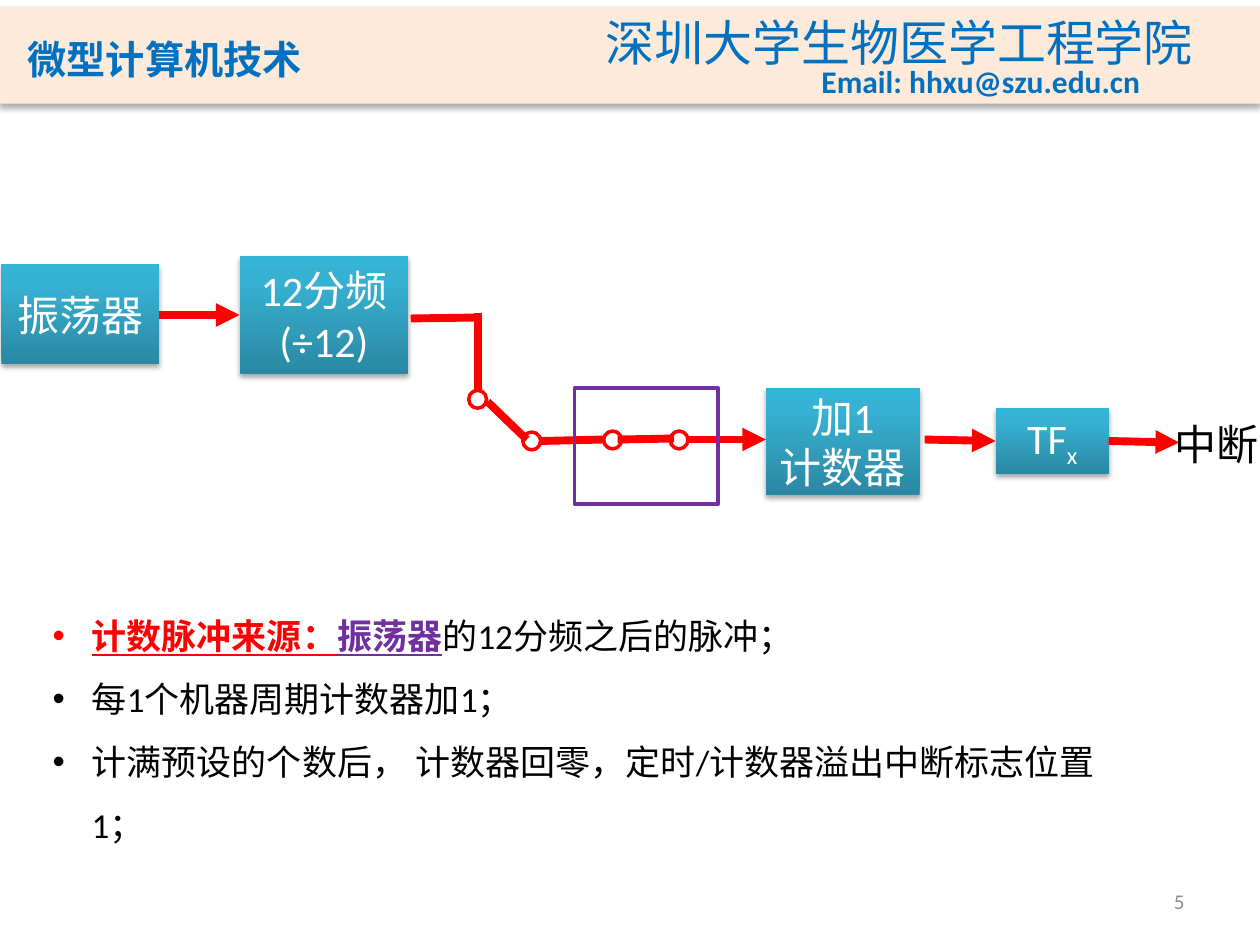
from lxml.etree import SubElement
from pptx import Presentation
from pptx.dml.color import RGBColor
from pptx.enum.shapes import MSO_CONNECTOR, MSO_SHAPE
from pptx.enum.text import MSO_ANCHOR as ANCHOR, MSO_AUTO_SIZE as AUTOSIZE, PP_ALIGN as ALIGN
from pptx.oxml.ns import qn
from pptx.util import Cm, Pt

COLORS = {
    "band": "FDEADA", "header": "0070C0", "signal": "FF0000", "frame": "7030A0",
    "white": "FFFFFF", "text": "000000", "number": "8C8C8C", "shadow": "000000",
}
BLOCK_STOPS = [(0, "2A88A2"), (80, "37B1D2"), (100, "34B4D6")]
CJK_FONT = "Noto Sans CJK SC"
CIRCLE = 0.36

BLOCKS = [
    ((0.03, 5.33, 3.18, 2.01), [[("振荡器", {})]]),
    ((4.83, 5.16, 3.4, 2.39), [[("12分频(÷12)", {})]]),
    ((15.44, 7.82, 3.1, 2.16), [[("加1", {})], [("计数器", {})]]),
    ((20.07, 8.23, 2.29, 1.32), [[("TF", {}), ("x", {"baseline": -25000})]]),
]
ARROWS = [
    (3.2, 6.35, 4.83, 6.35), (13.84, 8.86, 15.44, 8.86),
    (18.64, 8.86, 20.07, 8.89), (22.35, 8.89, 23.77, 8.92),
]
WIRES = [
    (8.28, 6.42, 9.65, 6.4), (9.63, 6.3, 9.63, 7.87), (9.83, 8.1, 10.62, 8.86),
    (10.9, 8.89, 12.17, 8.86), (13.59, 8.84, 12.45, 8.86),
]
CONTACTS = [(9.45, 7.87), (10.54, 8.71), (12.17, 8.69), (13.51, 8.69)]
NOTES = [
    [("计数脉冲来源：", {"color": "signal", "bold": True, "underline": True}),
     ("振荡器", {"color": "frame", "bold": True, "underline": True}),
     ("的12分频之后的脉冲；", {})],
    [("每1个机器周期计数器加1；", {})],
    [("计满预设的个数后， 计数器回零，定时/计数器溢出中断标志位置1；", {})],
]


def rgb(name):
    return RGBColor.from_string(COLORS[name])


def cm(values):
    return [Cm(value) for value in values]


def add_span(para, text, size, color="text", name="Calibri", cjk=CJK_FONT, baseline=None, **style):
    span = para.add_run()
    span.text = text
    for key, value in {"size": Pt(size), "name": name, **style}.items():
        setattr(span.font, key, value)
    span.font.color.rgb = rgb(color)
    props = span.font._element
    SubElement(props, qn("a:ea"), typeface=cjk)
    if baseline:
        props.set("baseline", str(baseline))
    return span


def write(frame, paragraphs, align=ALIGN.LEFT, **style):
    """Fill a text frame with paragraphs, each a list of (text, style) spans."""
    for index, spans in enumerate(paragraphs):
        para = frame.add_paragraph() if index else frame.paragraphs[0]
        para.alignment = align
        for text, extra in spans:
            add_span(para, text, **{**style, **extra})


def add_label(page, box, text, wrap=False, anchor=ANCHOR.TOP, **style):
    frame = page.shapes.add_textbox(*cm(box)).text_frame
    frame.word_wrap = wrap
    frame.vertical_anchor = anchor
    write(frame, [[(text, {})]], **style)


def add_figure(page, kind, box, line=None):
    """Add an unfilled preset shape, outlined if a line colour is named."""
    shape = page.shapes.add_shape(kind, *cm(box))
    shape.shadow.inherit = False
    shape.fill.background()
    if line:
        shape.line.color.rgb = rgb(line)
        shape.line.width = Pt(2)
    else:
        shape.line.fill.background()
    return shape


def add_shadow(shape, blur, distance, opacity):
    effects = shape.element.spPr.find(qn("a:effectLst"))
    shadow = SubElement(effects, qn("a:outerShdw"), blurRad=str(Pt(blur)),
                        dist=str(Pt(distance)), dir="5400000", rotWithShape="0")
    color = SubElement(shadow, qn("a:srgbClr"), val=COLORS["shadow"])
    SubElement(color, qn("a:alpha"), val=str(opacity * 1000))


def add_block(page, box, paragraphs):
    shape = add_figure(page, MSO_SHAPE.RECTANGLE, box)
    shape.fill.gradient()
    shape.fill.gradient_angle = 90
    stops = shape.element.spPr.find(qn("a:gradFill")).find(qn("a:gsLst"))
    stops.clear()
    for position, color in BLOCK_STOPS:
        stop = SubElement(stops, qn("a:gs"), pos=str(position * 1000))
        SubElement(stop, qn("a:srgbClr"), val=color)
    add_shadow(shape, 3.1, 1.8, 35)
    shape.text_frame.word_wrap = True
    shape.text_frame.vertical_anchor = ANCHOR.MIDDLE
    write(shape.text_frame, paragraphs, ALIGN.CENTER, size=24, color="white")


def add_wire(page, ends, arrow=False):
    wire = page.shapes.add_connector(MSO_CONNECTOR.STRAIGHT, *cm(ends))
    wire.line.color.rgb = rgb("signal")
    wire.line.width = Pt(4.5)
    props = wire.element.spPr
    if arrow:
        SubElement(props.find(qn("a:ln")), qn("a:tailEnd"), type="triangle")
    SubElement(props, qn("a:effectLst"))


def add_header(page):
    band = add_figure(page, MSO_SHAPE.RECTANGLE, (0, 0.13, 25.4, 1.96))
    band.fill.solid()
    band.fill.fore_color.rgb = rgb("band")
    add_shadow(band, 3.5, 2.2, 32)
    title = page.shapes.title
    title.element.addprevious(band.element)
    title.left, title.top, title.width, title.height = cm((0.3, 0.41, 8.61, 1.42))
    frame = title.text_frame
    frame.auto_size = AUTOSIZE.NONE
    frame.vertical_anchor = ANCHOR.BOTTOM
    frame.paragraphs[0].alignment = ALIGN.LEFT
    heading = add_span(frame.paragraphs[0], "微型计算机技术", 28, "header",
                       "Noto Sans CJK JP", "Noto Sans CJK JP", bold=True)
    heading.font._element.set("cap", "small")
    add_label(page, (11.96, 0.13, 12.47, 1.45), "深圳大学生物医学工程学院",
              size=28, color="header", name=CJK_FONT)
    add_label(page, (16.31, 1.12, 6.99, 1.02), "Email: hhxu@szu.edu.cn",
              size=18, color="header", bold=True)


def add_notes_list(page):
    frame = page.shapes.add_textbox(*cm((0.81, 11.84, 22.23, 4.11))).text_frame
    frame.word_wrap = True
    write(frame, NOTES, size=20)
    for para in frame.paragraphs:
        para.line_spacing = 1.5
        props = para._p.get_or_add_pPr()
        props.set("marL", str(Cm(0.79)))
        props.set("indent", str(-Cm(0.79)))
        SubElement(props, qn("a:buFont"), typeface="Arial")
        SubElement(props, qn("a:buChar"), char="•")


def main():
    deck = Presentation()
    deck.slide_width, deck.slide_height = Cm(25.4), Cm(19.05)
    page = deck.slides.add_slide(deck.slide_layouts[5])
    add_header(page)
    add_label(page, (18.21, 17.65, 5.92, 1.02), "5", wrap=True, anchor=ANCHOR.MIDDLE,
              align=ALIGN.RIGHT, size=12, color="number")
    for box, paragraphs in BLOCKS:
        add_block(page, box, paragraphs)
    for ends in WIRES:
        add_wire(page, ends)
    for ends in ARROWS:
        add_wire(page, ends, arrow=True)
    for left, top in CONTACTS:
        add_figure(page, MSO_SHAPE.OVAL, (left, top, CIRCLE, CIRCLE), "signal")
    add_label(page, (23.42, 8.31, 2.24, 1.27), "中断", size=24)
    add_figure(page, MSO_SHAPE.RECTANGLE, (11.58, 7.82, 2.9, 2.34), "frame")
    add_notes_list(page)
    deck.save("out.pptx")


if __name__ == "__main__":
    main()
